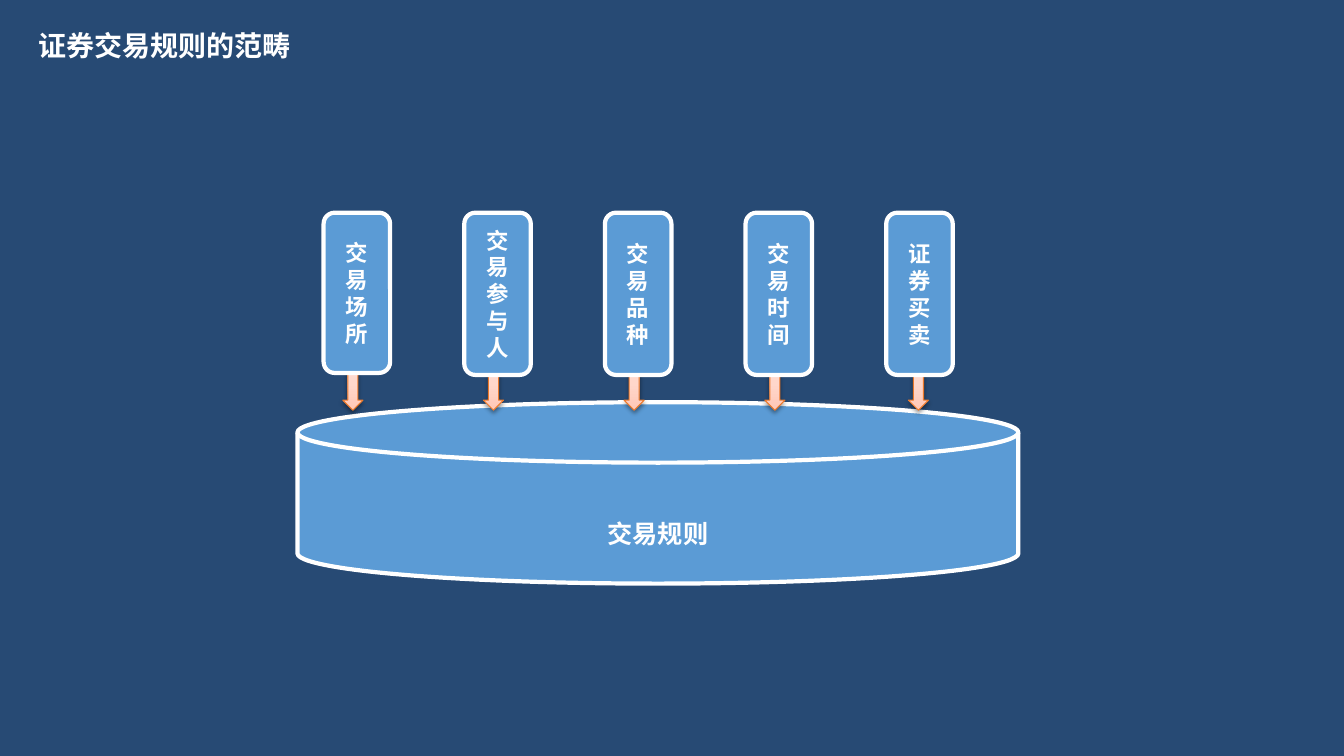
from lxml import etree
from pptx import Presentation
from pptx.dml.color import RGBColor
from pptx.enum.shapes import MSO_SHAPE
from pptx.enum.text import MSO_ANCHOR, PP_ALIGN
from pptx.oxml import parse_xml
from pptx.oxml.ns import nsdecls, qn
from pptx.util import Inches, Pt

DISK = MSO_SHAPE.FLOWCHART_MAGNETIC_DISK
PILLAR = MSO_SHAPE.FLOWCHART_ALTERNATE_PROCESS
ARROW = MSO_SHAPE.UP_DOWN_ARROW
MIDDLE, BOTTOM = MSO_ANCHOR.MIDDLE, MSO_ANCHOR.BOTTOM
FONT = "Noto Sans CJK SC"
COLORS = {"navy": "274A74", "blue": "5B9BD5", "white": "FFFFFF", "orange": "EC792B"}
ARROW_GRADIENT = ((0, "FFC7B6"), (35, "FFD7CB"), (100, "FFF0EB"))


def color(name):
    return RGBColor.from_string(COLORS[name])


def write(shape, text, size, anchor=MIDDLE, wrap=True):
    frame = shape.text_frame
    frame.word_wrap = wrap
    frame.vertical_anchor = anchor
    para = frame.paragraphs[0]
    para.alignment = PP_ALIGN.CENTER
    span = para.add_run()
    span.text = text
    span.font.size = Pt(size)
    span.font.bold = True
    span.font.name = FONT
    span.font.color.rgb = color("white")
    etree.SubElement(span.font._element, qn("a:ea")).set("typeface", FONT)


deck = Presentation()
deck.slide_width, deck.slide_height = Inches(13.33), Inches(7.5)
page = deck.slides.add_slide(deck.slide_layouts[5])
page.background.fill.solid()
page.background.fill.fore_color.rgb = color("navy")

title = page.shapes.title
title.left, title.top = Inches(0.08), Inches(0.23)
title.width, title.height = Inches(3.1), Inches(0.44)
write(title, "证券交易规则的范畴", 20, wrap=False)

disk = page.shapes.add_shape(DISK, Inches(2.95), Inches(3.99), Inches(7.15), Inches(1.8))
write(disk, "交易规则", 18, anchor=BOTTOM)
blue_shapes = [disk]

# Label, pillar height, arrow offset from the pillar's left side
pillars = [
    ("交易场所", 1.59, 0.19),
    ("交易参与人", 1.61, 0.19),
    ("交易品种", 1.61, 0.19),
    ("交易时间", 1.61, 0.19),
    ("证券买卖", 1.61, 0.22),
]
stops = "".join(
    f'<a:gs pos="{place * 1000}"><a:srgbClr val="{tint}"/></a:gs>'
    for place, tint in ARROW_GRADIENT
)
for index, (label, height, offset) in enumerate(pillars):
    left = 3.21 + index * 1.395
    group = page.shapes.add_group_shape()

    arrow = group.shapes.add_shape(
        ARROW, Inches(left + offset), Inches(3.3), Inches(0.2), Inches(0.77))
    arrow.adjustments[0], arrow.adjustments[1] = 1, 0.5
    arrow.line.color.rgb = color("orange")
    arrow.line.width = Pt(0.75)
    outline = arrow.line._get_or_add_ln()
    outline.addprevious(parse_xml(
        f'<a:gradFill {nsdecls("a")} rotWithShape="1"><a:gsLst>{stops}</a:gsLst>'
        '<a:lin ang="16200000" scaled="0"/></a:gradFill>'))
    outline.addnext(parse_xml(
        f'<a:effectLst {nsdecls("a")}><a:outerShdw blurRad="{Pt(3.1)}" dist="{Pt(1.6)}" '
        'dir="5400000" rotWithShape="0"><a:srgbClr val="000000"><a:alpha val="38000"/>'
        '</a:srgbClr></a:outerShdw></a:effectLst>'))

    pillar = group.shapes.add_shape(
        PILLAR, Inches(left), Inches(2.11), Inches(0.66), Inches(height))
    write(pillar, label, 16)
    blue_shapes.append(pillar)

for shape in blue_shapes:
    shape.shadow.inherit = False
    shape.fill.solid()
    shape.fill.fore_color.rgb = color("blue")
    shape.line.color.rgb = color("white")
    shape.line.width = Pt(3)

deck.save("out.pptx")
